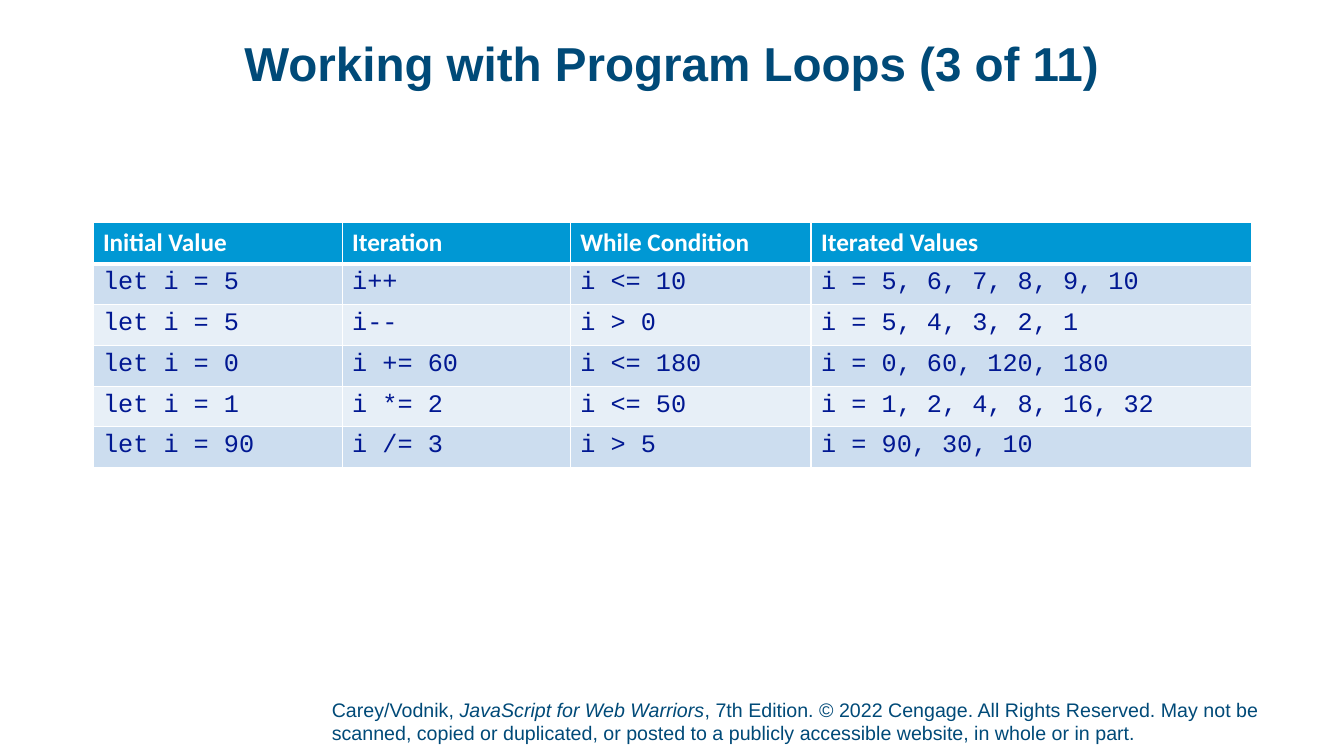
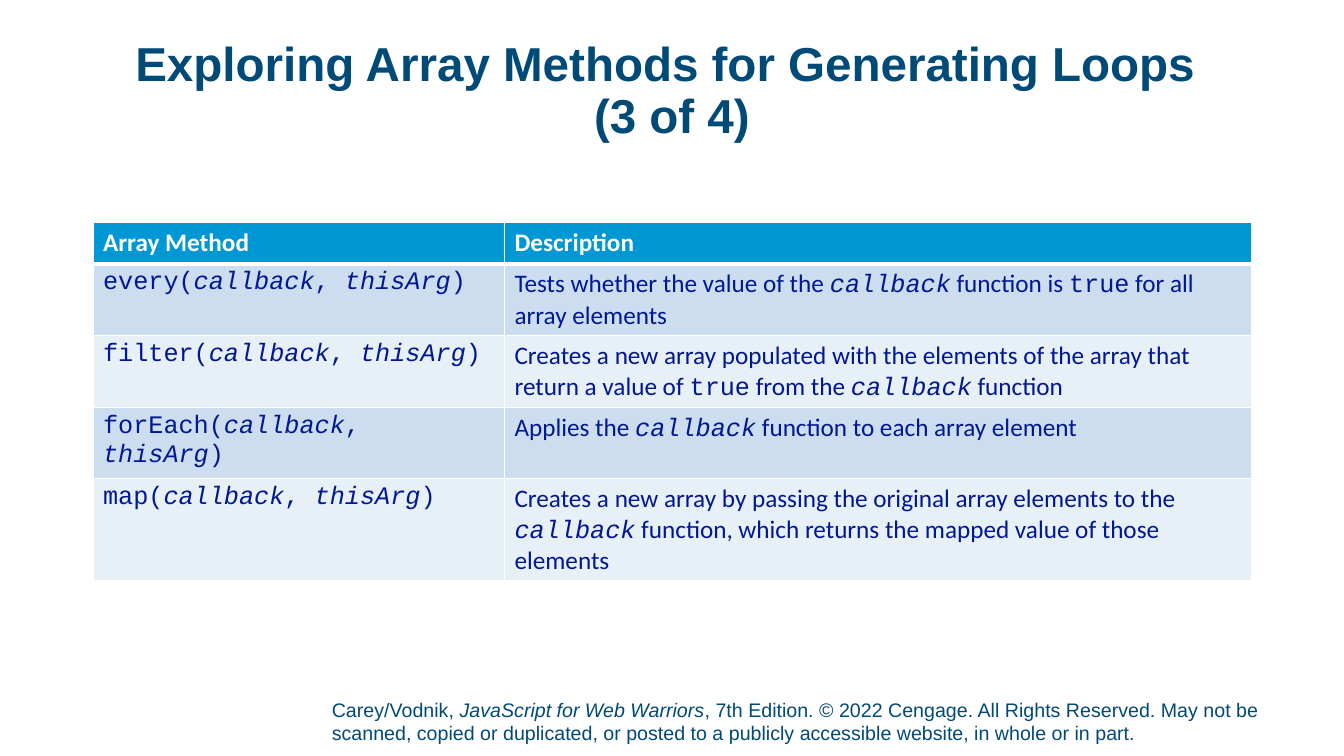
from pptx import Presentation
from pptx.dml.color import RGBColor
from pptx.enum.text import MSO_ANCHOR, PP_ALIGN
from pptx.oxml import parse_xml
from pptx.oxml.ns import nsdecls
from pptx.util import Pt

COLORS = {
    "navy": "004A78",
    "header": "0098D4",
    "ink": "011892",
    "white": "FFFFFF",
    "band_dark": "CCDDEF",
    "band_light": "E7EFF7",
}
TITLE_BOX = (66, 29, 828, 53)
FOOTER_BOX = (237, 498, 705, 37.5)
TABLE_BOX = (66.4, 159.2, 828)
ROW_HEIGHT = 29.2

HEAD = {"font": "Calibri", "color": "white", "bold": True}
PROSE = {"font": "Calibri", "color": "ink"}
CODE = {"font": "Courier New", "color": "ink"}
ARG = CODE | {"italic": True}
TITLE = {"font": "Arial", "color": "navy", "bold": True, "size": 34}
NOTICE = {"font": "Arial", "color": "navy", "size": 14}

FOOTER_RUNS = [
    ("Carey/Vodnik, ", NOTICE),
    ("JavaScript for Web Warriors", NOTICE | {"italic": True}),
    (", 7th Edition. © 2022 Cengage. All Rights Reserved. May not be scanned, "
     "copied or duplicated, or posted to a publicly accessible website, "
     "in whole or in part.", NOTICE),
]

LOOP_COLUMNS = [178, 163, 172, 315]
LOOP_HEIGHTS = [ROW_HEIGHT] * 4 + [27.4, ROW_HEIGHT]
LOOP_HEADER = ["Initial Value", "Iteration", "While Condition", "Iterated Values"]
LOOP_ROWS = [
    ["let i = 5", "i++", "i <= 10", "i = 5, 6, 7, 8, 9, 10"],
    ["let i = 5", "i--", "i > 0", "i = 5, 4, 3, 2, 1"],
    ["let i = 0", "i += 60", "i <= 180", "i = 0, 60, 120, 180"],
    ["let i = 1", "i *= 2", "i <= 50", "i = 1, 2, 4, 8, 16, 32"],
    ["let i = 90", "i /= 3", "i > 5", "i = 90, 30, 10"],
]

METHOD_COLUMNS = [294, 534]
METHOD_HEIGHTS = [ROW_HEIGHT, 51.4, 51.4, 48, 73.4]
METHOD_HEADER = ["Array Method", "Description"]
CALLBACK = ("callback", ARG)
TRUE = ("true", CODE)
METHODS = {
    "every": [
        ("Tests whether the value of the ", PROSE), CALLBACK,
        (" function is ", PROSE), TRUE, (" for all array elements", PROSE),
    ],
    "filter": [
        ("Creates a new array populated with the elements of the array "
         "that return a value of ", PROSE), TRUE,
        (" from the ", PROSE), CALLBACK, (" function", PROSE),
    ],
    "forEach": [
        ("Applies the ", PROSE), CALLBACK,
        (" function to each array element", PROSE),
    ],
    "map": [
        ("Creates a new array by passing the original array elements to the ",
         PROSE), CALLBACK,
        (" function, which returns the mapped value of those elements", PROSE),
    ],
}


def rgb(name):
    return RGBColor.from_string(COLORS[name])


def style_run(r, font, color, size=18, bold=False, italic=False):
    r.font.name = font
    r.font.size = Pt(size)
    r.font.bold = bold
    r.font.italic = italic
    r.font.color.rgb = rgb(color)


def add_runs(p, runs):
    for text, style in runs:
        r = p.add_run()
        r.text = text
        style_run(r, **style)


def add_text_box(s, box, bottom_inset=0):
    tf = s.shapes.add_textbox(*map(Pt, box)).text_frame
    tf.word_wrap = True
    tf.margin_left = tf.margin_right = tf.margin_top = 0
    tf.margin_bottom = Pt(bottom_inset)
    return tf


def add_title(s, box, text):
    tf = add_text_box(s, box)
    p = tf.paragraphs[0]
    p.text = text
    p.alignment = PP_ALIGN.CENTER
    p.line_spacing = 0.9
    for r in p.runs:
        style_run(r, **TITLE)


def add_footer(s, box):
    tf = add_text_box(s, box, bottom_inset=3.6)
    tf.vertical_anchor = MSO_ANCHOR.BOTTOM
    add_runs(tf.paragraphs[0], FOOTER_RUNS)


def set_borders(cell, top, bottom):
    tc_pr = cell._tc.get_or_add_tcPr()
    for side, width in (("L", 1), ("R", 1), ("T", top), ("B", bottom)):
        tc_pr.append(parse_xml(
            f'<a:ln{side} {nsdecls("a")} w="{Pt(width)}"><a:solidFill>'
            f'<a:srgbClr val="{COLORS["white"]}"/></a:solidFill></a:ln{side}>'))


def add_table(s, box, columns, heights, header, body):
    left, top, width = box
    rows = [[[(text, HEAD)] for text in header]] + body
    table = s.shapes.add_table(len(rows), len(columns), Pt(left), Pt(top),
                               Pt(width), Pt(sum(heights))).table
    for column, column_width in zip(table.columns, columns):
        column.width = Pt(column_width)
    for i, (row, height, contents) in enumerate(zip(table.rows, heights, rows)):
        row.height = Pt(height)
        band = "header" if i == 0 else "band_dark" if i % 2 else "band_light"
        for cell, runs in zip(row.cells, contents):
            set_borders(cell, top=3 if i == 1 else 1, bottom=3 if i == 0 else 1)
            cell.fill.solid()
            cell.fill.fore_color.rgb = rgb(band)
            add_runs(cell.text_frame.paragraphs[0], runs)


def add_table_slide(prs, title, columns, heights, header, body):
    s = prs.slides.add_slide(prs.slide_layouts[6])
    add_footer(s, FOOTER_BOX)
    add_title(s, TITLE_BOX, title)
    add_table(s, TABLE_BOX, columns, heights, header, body)


def signature(name):
    return [(f"{name}(", CODE), CALLBACK, (", ", CODE), ("thisArg", ARG), (")", CODE)]


def main():
    prs = Presentation()
    prs.slide_width = Pt(960)
    prs.slide_height = Pt(540)
    add_table_slide(prs, "Working with Program Loops (3 of 11)",
                    LOOP_COLUMNS, LOOP_HEIGHTS, LOOP_HEADER,
                    [[[(text, CODE)] for text in row] for row in LOOP_ROWS])
    add_table_slide(prs, "Exploring Array Methods for Generating Loops \v(3 of 4)",
                    METHOD_COLUMNS, METHOD_HEIGHTS, METHOD_HEADER,
                    [[signature(name), runs] for name, runs in METHODS.items()])
    prs.save("out.pptx")


if __name__ == "__main__":
    main()
